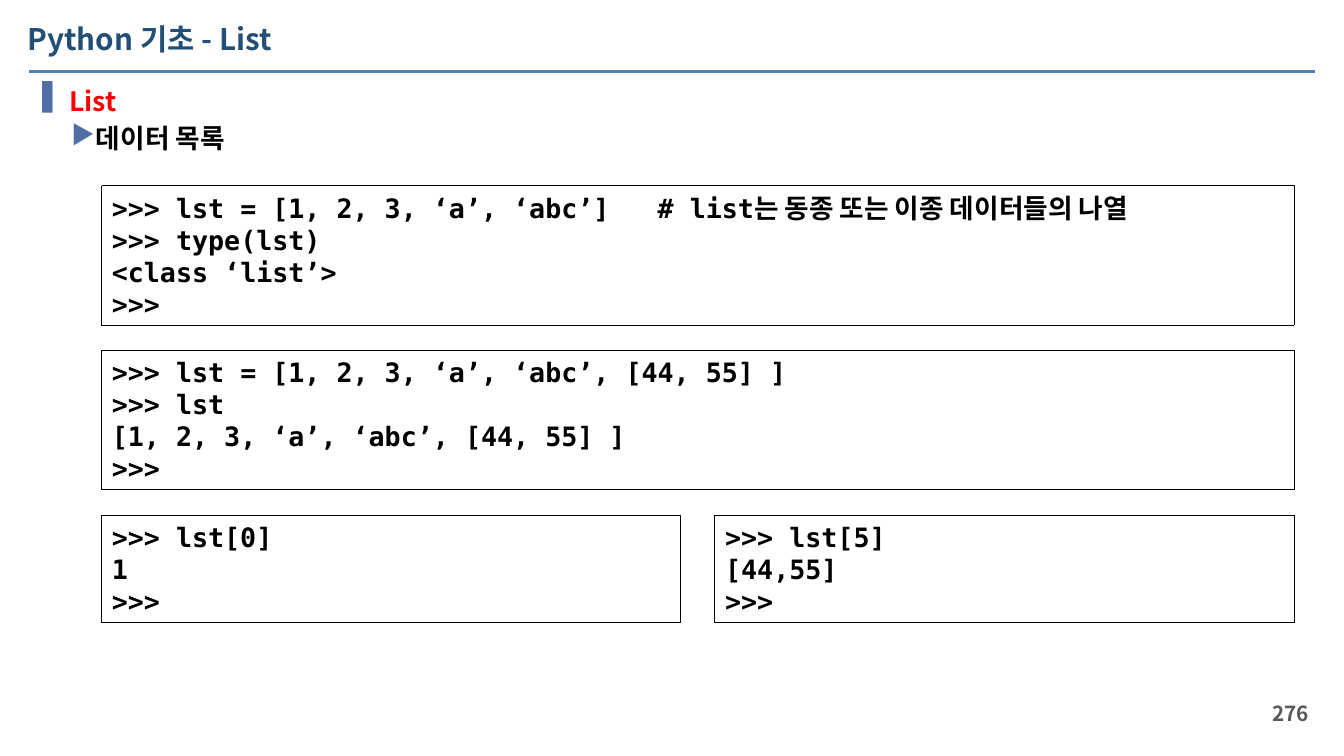
from pptx import Presentation
from pptx import util as u
from pptx.dml.color import RGBColor
from pptx.enum import dml, shapes, text
from pptx.oxml.ns import qn
from lxml import etree

SANS, MONO = "Noto Sans CJK KR", "DejaVu Sans Mono"
LEFT, WIDTH, GAP = 0.95, 11.18, 0.32
HALF = (WIDTH - GAP) / 2
CODE_BOXES = [
    ((LEFT, 1.74, WIDTH, 1.31), [
        ">>> lst = [1, 2, 3, ‘a’, ‘abc’]   # list는 동종 또는 이종 데이터들의 나열",
        ">>> type(lst)", "<class ‘list’>", ">>>"]),
    ((LEFT, 3.28, WIDTH, 1.31), [
        ">>> lst = [1, 2, 3, ‘a’, ‘abc’, [44, 55] ]",
        ">>> lst", "[1, 2, 3, ‘a’, ‘abc’, [44, 55] ]", ">>>"]),
    ((LEFT, 4.83, HALF, 1.01), [">>> lst[0]", "1", ">>>"]),
    ((LEFT + HALF + GAP, 4.83, HALF, 1.01), [">>> lst[5]", "[44,55]", ">>>"]),
]


def color(value):
    """Turn a hex string into a colour."""
    return RGBColor.from_string(value)


def inches(box):
    """Turn a box of numbers into lengths."""
    return [u.Inches(value) for value in box]


def style(paragraph, size, ink, latin=SANS):
    """Set the bold font of a paragraph for Latin and Korean text."""
    font = paragraph.font
    font.size, font.bold, font.name = u.Pt(size), True, latin
    font.color.rgb = color(ink)
    properties = paragraph._p.pPr.find(qn("a:defRPr"))
    etree.SubElement(properties, qn("a:ea"), typeface=SANS)


def add_bullet(paragraph, symbol, margin, hanging):
    """Give a paragraph a coloured bullet and a hanging indent."""
    properties = paragraph._p.get_or_add_pPr()
    properties.set("marL", str(u.Inches(margin)))
    properties.set("indent", str(u.Inches(-hanging)))
    bullet_color = etree.SubElement(properties, qn("a:buClr"))
    etree.SubElement(bullet_color, qn("a:srgbClr"), val="506EA5")
    etree.SubElement(properties, qn("a:buChar"), char=symbol)


def add_text(slide, box):
    """Add a wrapping text box and return its frame."""
    frame = slide.shapes.add_textbox(*inches(box)).text_frame
    frame.word_wrap = True
    return frame


def add_header(slide, box):
    """Place the title with the rule below it."""
    left, top, width, height = box
    paragraph = add_text(slide, box).paragraphs[0]
    paragraph.text = "Python 기초 - List"
    paragraph.line_spacing = 0.85
    style(paragraph, 20, "234F77")
    y = top + height + 0.03
    rule = slide.shapes.add_connector(
        shapes.MSO_CONNECTOR.STRAIGHT,
        *inches((left + 0.11, y, left + width + 0.31, y)))
    rule.line.color.rgb = color("4F81BD")
    rule.line.width = u.Pt(1.5)
    etree.SubElement(rule._element.spPr, qn("a:effectLst"))


def add_topics(slide, box):
    """Place the two-level topic list."""
    frame = add_text(slide, box)
    topic, detail = frame.paragraphs[0], frame.add_paragraph()
    topic.text, detail.text = "List", "데이터 목록"
    detail.level = 1
    detail.space_before = u.Pt(7)
    topic.line_spacing = detail.line_spacing = 0.85
    add_bullet(topic, "▐", 0.35, 0.35)
    add_bullet(detail, "▶", 0.58, 0.21)
    style(topic, 18, "FF0000")
    style(detail, 18, "000000")


def add_code(slide, box, lines):
    """Place an outlined box of code."""
    shape = slide.shapes.add_shape(shapes.MSO_SHAPE.RECTANGLE, *inches(box))
    shape.shadow.inherit = False
    shape.fill.background()
    shape.line.color.rgb = color("000000")
    shape.line.width = u.Pt(0.25)
    shape.line.dash_style = dml.MSO_LINE.ROUND_DOT
    frame = shape.text_frame
    frame.word_wrap = True
    frame.vertical_anchor = text.MSO_ANCHOR.MIDDLE
    for index, line in enumerate(lines):
        paragraph = frame.add_paragraph() if index else frame.paragraphs[0]
        paragraph.text = line
        paragraph.alignment = text.PP_ALIGN.LEFT
        paragraph.line_spacing = u.Pt(21.6)
        style(paragraph, 18, "000000", MONO)


def add_page_number(slide, box):
    """Place the page number at the right."""
    frame = add_text(slide, box)
    frame.vertical_anchor = text.MSO_ANCHOR.MIDDLE
    paragraph = frame.paragraphs[0]
    paragraph.text = "276"
    paragraph.alignment = text.PP_ALIGN.RIGHT
    style(paragraph, 14, "595959")


def main():
    """Build and save the slide."""
    presentation = Presentation()
    presentation.slide_width, presentation.slide_height = inches((12.6, 7.09))
    slide = presentation.slides.add_slide(presentation.slide_layouts[6])
    add_header(slide, (0.16, 0.2, 11.86, 0.44))
    add_topics(slide, (0.2, 0.79, 11.93, 0.9))
    for box, lines in CODE_BOXES:
        add_code(slide, box, lines)
    add_page_number(slide, (11.43, 6.5, 0.94, 0.38))
    presentation.save("out.pptx")


if __name__ == "__main__":
    main()
